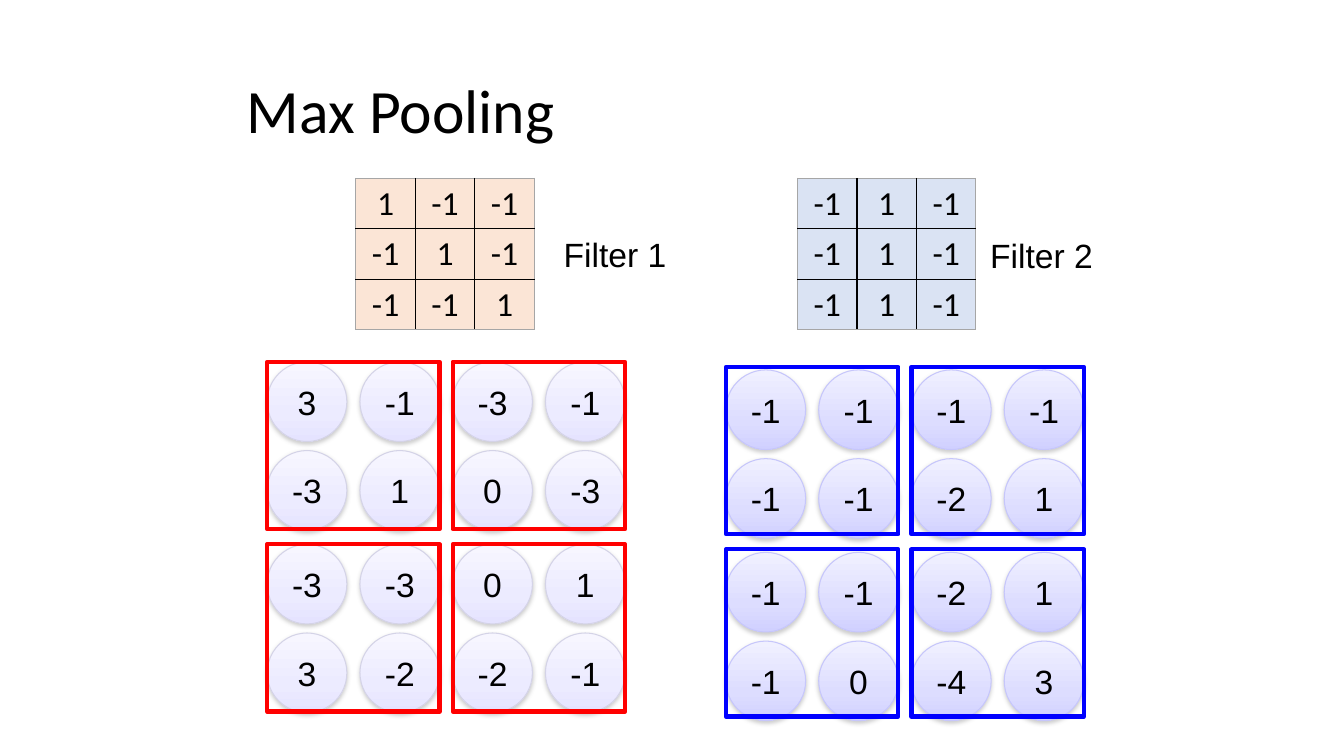
from copy import deepcopy
from dataclasses import dataclass

from lxml import etree
from pptx import Presentation
from pptx.dml.color import RGBColor
from pptx.enum import shapes, text
from pptx.oxml import ns
from pptx.util import Inches, Pt


@dataclass(frozen=True)
class Theme:
    ink: str = "000000"
    table_edge: str = "A6A6A6"
    shadow: str = "808080"
    title_font: str = "Calibri"
    body_font: str = "Arial"
    title_size: int = 44
    body_size: int = 24


THEME = Theme()
FILTERS = [
    dict(label="Filter 1", label_at=(5.31, 2.27), table_left=3.53, cell="FBE5D6",
         weights=[[1, -1, -1], [-1, 1, -1], [-1, -1, 1]],
         left=2.65, circle_top=3.59, window_top=3.59, window="FF0000",
         gradient=("F7F6FF", "ECEBFF", "E5E3FF"), outline="D4D3E7",
         values=[[3, -1, -3, -1], [-3, 1, 0, -3], [-3, -3, 0, 1], [3, -2, -2, -1]]),
    dict(label="Filter 2", label_at=(9.54, 2.28), table_left=7.91, cell="DAE3F3",
         weights=[[-1, 1, -1], [-1, 1, -1], [-1, 1, -1]],
         left=7.2, circle_top=3.67, window_top=3.64, window="0000FF",
         gradient=("F0F0FF", "DDDDFF", "D0D0FF"), outline="C6C6FB",
         values=[[-1, -1, -1, -1], [-1, -1, -2, 1], [-1, -1, -2, 1], [-1, 0, -4, 3]]),
]
CIRCLE = 0.79
COLUMN_STEP = 0.92
ROW_STEP = 0.88
WINDOW_STEP = 1.81
WINDOW_WIDTH, WINDOW_HEIGHT = 1.71, 1.66


def write(frame, words, font=THEME.body_font, size=THEME.body_size,
          align=text.PP_ALIGN.CENTER):
    frame.text = str(words)
    paragraph = frame.paragraphs[0]
    paragraph.alignment = align
    run_font = paragraph.runs[0].font
    run_font.name, run_font.size = font, Pt(size)
    run_font.color.rgb = RGBColor.from_string(THEME.ink)


def add_color(parent, color):
    return etree.SubElement(parent, ns.qn("a:srgbClr"), val=color)


prs = Presentation()
prs.slide_width, prs.slide_height = Inches(13.33), Inches(7.5)
slide = prs.slides.add_slide(prs.slide_layouts[6])

title = slide.shapes.add_textbox(Inches(2.35), Inches(0.4), Inches(8.62), Inches(1.45))
title.text_frame.word_wrap = True
title.text_frame.vertical_anchor = text.MSO_ANCHOR.MIDDLE
write(title.text_frame, "Max Pooling", THEME.title_font, THEME.title_size,
      text.PP_ALIGN.LEFT)
title.text_frame.paragraphs[0].line_spacing = 0.9

for item in FILTERS:
    # Filter weights
    weights = slide.shapes.add_table(3, 3, Inches(item["table_left"]), Inches(1.77),
                                     Inches(1.77), Inches(1.5)).table
    weights.first_row = weights.horz_banding = False
    for row, numbers in enumerate(item["weights"]):
        for column, number in enumerate(numbers):
            cell = weights.cell(row, column)
            write(cell.text_frame, number, THEME.title_font)
            outer = {"L": column == 0, "R": column == 2, "T": row == 0, "B": row == 2}
            for side, is_outer in outer.items():
                border = etree.SubElement(cell._tc.get_or_add_tcPr(), ns.qn(f"a:ln{side}"),
                                          w=str(Pt(0.75 if is_outer else 1)))
                add_color(etree.SubElement(border, ns.qn("a:solidFill")),
                          THEME.table_edge if is_outer else THEME.ink)
            cell.fill.solid()
            cell.fill.fore_color.rgb = RGBColor.from_string(item["cell"])

    label_left, label_top = item["label_at"]
    label = slide.shapes.add_textbox(Inches(label_left), Inches(label_top),
                                     Inches(1.58), Inches(0.51))
    label.text_frame.word_wrap = True
    write(label.text_frame, item["label"])

    # Feature map
    for row, numbers in enumerate(item["values"]):
        block, inner = divmod(row, 2)
        top = item["circle_top"] + block * WINDOW_STEP + inner * ROW_STEP
        for column, number in enumerate(numbers):
            circle = slide.shapes.add_shape(
                shapes.MSO_SHAPE.OVAL, Inches(item["left"] + column * COLUMN_STEP),
                Inches(top), Inches(CIRCLE), Inches(CIRCLE))
            write(circle.text_frame, number)
            circle.text_frame.vertical_anchor = text.MSO_ANCHOR.MIDDLE
            circle.line.color.rgb = RGBColor.from_string(item["outline"])
            circle.line.width = Pt(0.75)

            circle.fill.gradient()
            circle.fill.gradient_angle = 270
            properties = circle._element.spPr
            stops = properties.find(".//" + ns.qn("a:gsLst"))
            stops.append(deepcopy(stops[-1]))
            for stop, place, color in zip(circle.fill.gradient_stops, (0, 0.65, 1),
                                          item["gradient"]):
                stop.position = place
                stop.color.rgb = RGBColor.from_string(color)

            circle.shadow.inherit = False
            shadow = etree.SubElement(
                properties.find(ns.qn("a:effectLst")), ns.qn("a:outerShdw"),
                blurRad=str(Pt(3.1)), dist=str(Pt(1.6)), dir="5400000", rotWithShape="0")
            etree.SubElement(add_color(shadow, THEME.shadow), ns.qn("a:alpha"), val="38000")

    # Pooling windows
    for row in range(2):
        for column in range(2):
            window = slide.shapes.add_shape(
                shapes.MSO_SHAPE.RECTANGLE,
                Inches(item["left"] + column * 2 * COLUMN_STEP),
                Inches(item["window_top"] + row * WINDOW_STEP),
                Inches(WINDOW_WIDTH), Inches(WINDOW_HEIGHT))
            window.shadow.inherit = False
            window.fill.background()
            window.line.color.rgb = RGBColor.from_string(item["window"])
            window.line.width = Pt(3)

prs.save("out.pptx")
